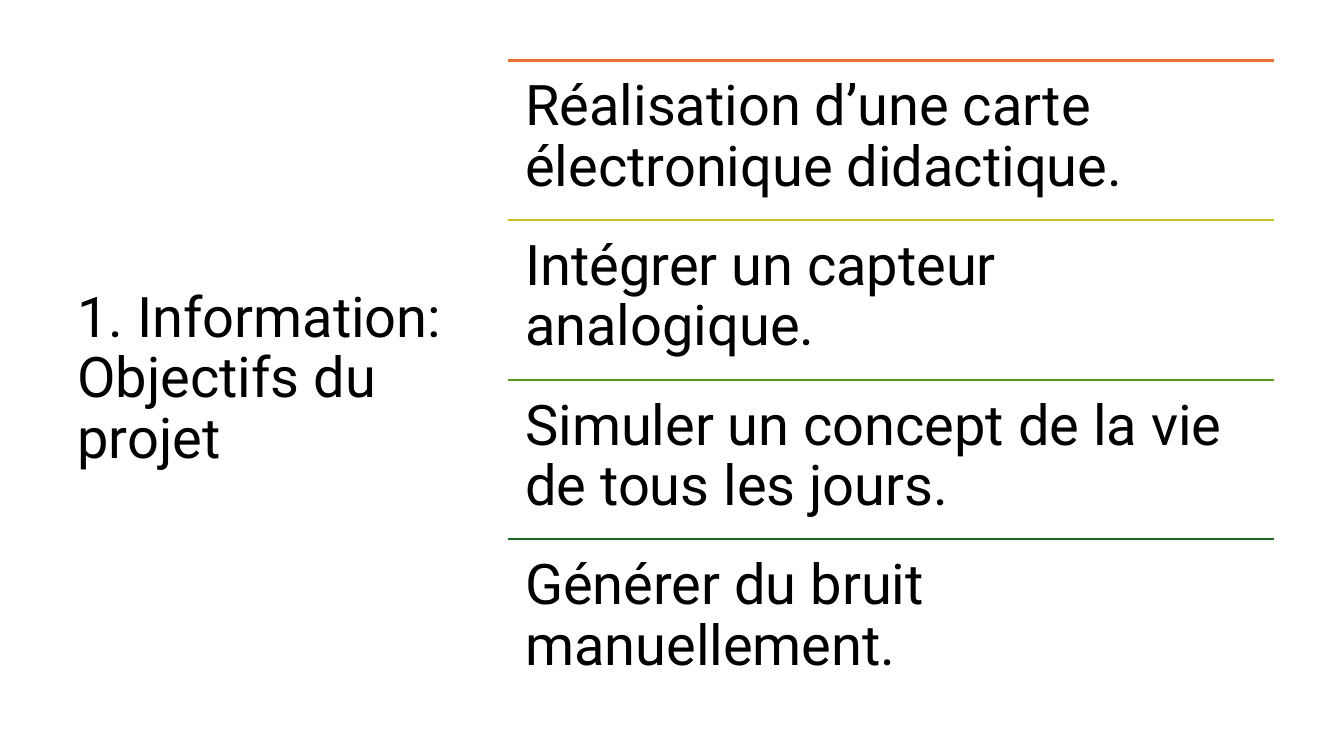
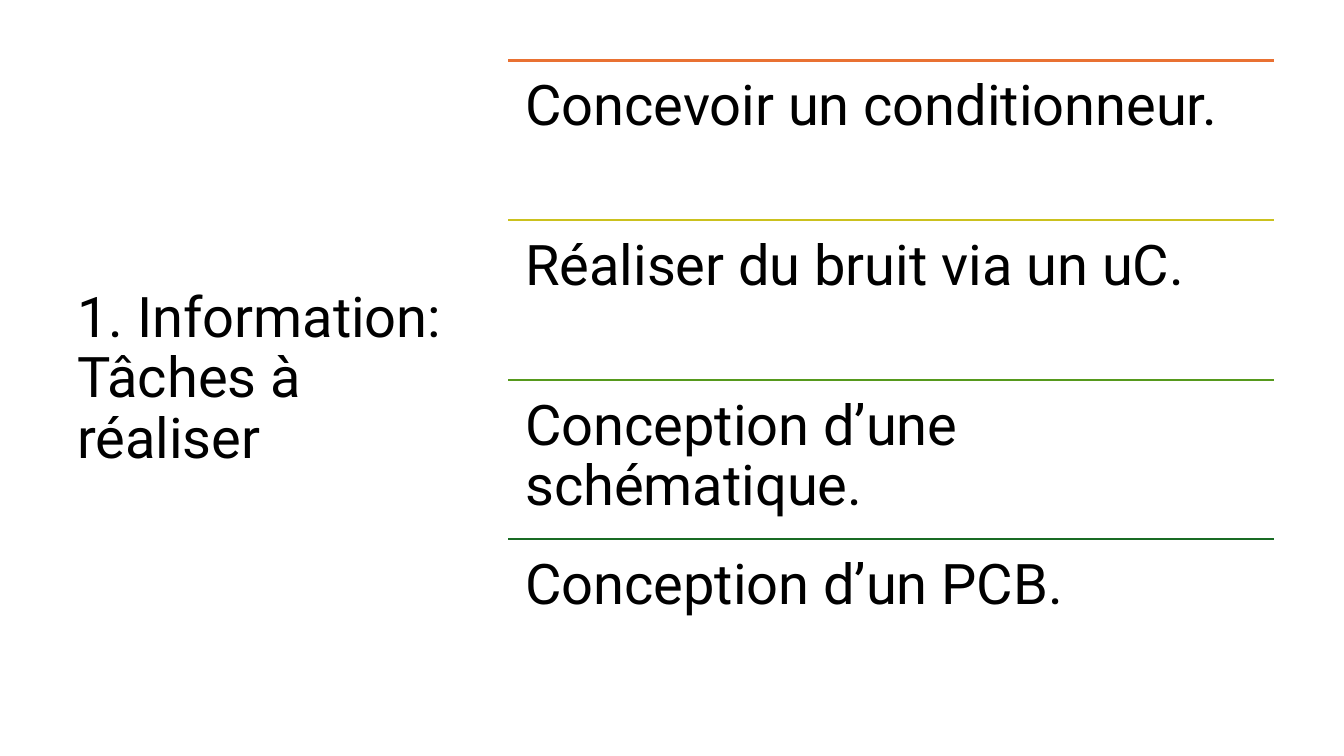
import lxml.etree
import pptx
import pptx.dml.color
import pptx.enum.shapes
import pptx.enum.text
import pptx.oxml.ns
import pptx.util

Pt = pptx.util.Pt

COLOURS = {
    "background": "FFFFFF",
    "text": "000000",
    "orange": "E97132",
    "yellow": "CBC11E",
    "green": "56991D",
    "dark_green": "196B24",
}
RULE_COLOURS = ["orange", "yellow", "green", "dark_green"]
FONT = "Roboto"
TEXT_SIZE = 40
LINE_SPACING = 0.9
SLIDE_SIZE = (960, 540)
TITLE_BOX = (48, 43.2, 275, 456)
LIST_BOX = (363, 43.2, 547, 456)
ITEM_INSET = 12.2

SLIDES = [
    ("1. Information: Objectifs du projet", [
        "Réalisation d’une carte électronique didactique.",
        "Intégrer un capteur analogique.",
        "Simuler un concept de la vie de tous les jours.",
        "Générer du bruit manuellement.",
    ]),
    ("1. Information: Tâches à réaliser", [
        "Concevoir un conditionneur.",
        "Réaliser du bruit via un uC.",
        "Conception d’une schématique.",
        "Conception d’un PCB.",
    ]),
]


def rgb(name):
    return pptx.dml.color.RGBColor.from_string(COLOURS[name])


def write_text(frame, text, anchor):
    frame.text = text
    frame.word_wrap = True
    frame.auto_size = pptx.enum.text.MSO_AUTO_SIZE.NONE
    frame.vertical_anchor = anchor
    paragraph = frame.paragraphs[0]
    paragraph.alignment = pptx.enum.text.PP_ALIGN.LEFT
    paragraph.line_spacing = LINE_SPACING
    font = paragraph.runs[0].font
    font.name = FONT
    font.size = Pt(TEXT_SIZE)
    font.color.rgb = rgb("text")


def place_title(slide, box, text):
    title = slide.shapes.title
    title.left, title.top, title.width, title.height = map(Pt, box)
    write_text(title.text_frame, text, pptx.enum.text.MSO_ANCHOR.MIDDLE)


def add_rule(shapes, left, top, width, colour):
    rule = shapes.add_connector(
        pptx.enum.shapes.MSO_CONNECTOR.STRAIGHT,
        Pt(left), Pt(top), Pt(left + width), Pt(top))
    rule.line.color.rgb = rgb(colour)
    rule.line.width = Pt(1.5)
    lxml.etree.SubElement(rule._element.spPr, pptx.oxml.ns.qn("a:effectLst"))


def add_item(shapes, box, text):
    item = shapes.add_textbox(*map(Pt, box))
    frame = item.text_frame
    frame.margin_left = frame.margin_right = Pt(ITEM_INSET)
    frame.margin_top = frame.margin_bottom = Pt(ITEM_INSET)
    write_text(frame, text, pptx.enum.text.MSO_ANCHOR.TOP)


def add_ruled_list(slide, box, items):
    left, top, width, height = box
    row_height = height / len(items)
    shapes = slide.shapes.add_group_shape().shapes
    for row, (text, colour) in enumerate(zip(items, RULE_COLOURS)):
        row_top = top + row * row_height
        add_rule(shapes, left, row_top, width, colour)
        add_item(shapes, (left, row_top, width, row_height), text)


def add_list_slide(deck, title, items):
    slide = deck.slides.add_slide(deck.slide_layouts.get_by_name("Title Only"))
    place_title(slide, TITLE_BOX, title)
    add_ruled_list(slide, LIST_BOX, items)


def main():
    deck = pptx.Presentation()
    deck.slide_width, deck.slide_height = map(Pt, SLIDE_SIZE)
    background = deck.slide_master.background.fill
    background.solid()
    background.fore_color.rgb = rgb("background")
    for title, items in SLIDES:
        add_list_slide(deck, title, items)
    deck.save("out.pptx")


if __name__ == "__main__":
    main()
